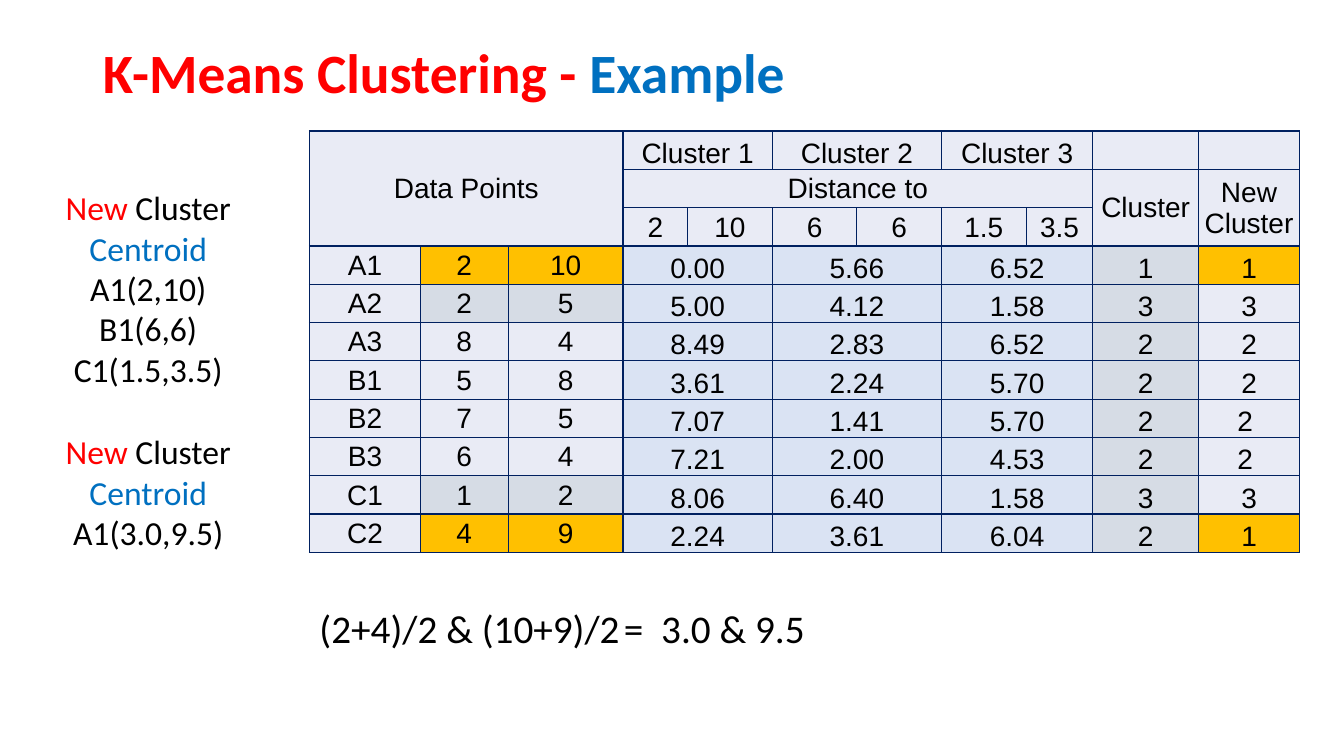
"""Builds a slide that works through one step of k-means clustering."""
import pptx
import pptx.dml.color
import pptx.enum.text
import pptx.oxml
import pptx.oxml.ns
import pptx.util

Inches = pptx.util.Inches
Pt = pptx.util.Pt
RGBColor = pptx.dml.color.RGBColor
Align = pptx.enum.text.PP_ALIGN
Anchor = pptx.enum.text.MSO_ANCHOR
Fit = pptx.enum.text.MSO_AUTO_SIZE

RED = RGBColor(0xFF, 0x00, 0x00)
BLUE = RGBColor(0x00, 0x70, 0xC0)
BLACK = RGBColor(0x00, 0x00, 0x00)
NAVY = RGBColor(0x00, 0x20, 0x60)
PALE = RGBColor(0xE9, 0xEB, 0xF5)
SKY = RGBColor(0xDA, 0xE3, 0xF3)
GREY = RGBColor(0xD6, 0xDC, 0xE5)
AMBER = RGBColor(0xFF, 0xC0, 0x00)

WIDTHS = [1.1, 0.87, 1.14, 0.64, 0.84, 0.84, 0.84, 0.84, 0.66, 1.05, 1]
ROW = 0.38
HEAD = [
    (0, 0, 3, 3, "Data Points", Anchor.MIDDLE),
    (0, 3, 1, 2, "Cluster 1", Anchor.BOTTOM),
    (0, 5, 1, 2, "Cluster 2", Anchor.BOTTOM),
    (0, 7, 1, 2, "Cluster 3", Anchor.BOTTOM),
    (0, 9, 1, 1, "", Anchor.BOTTOM),
    (0, 10, 1, 1, "", Anchor.BOTTOM),
    (1, 3, 1, 6, "Distance to", Anchor.MIDDLE),
    (1, 9, 2, 1, "Cluster", Anchor.MIDDLE),
    (1, 10, 2, 1, "New Cluster", Anchor.MIDDLE),
]
CENTRES = ["2", "10", "6", "6", "1.5", "3.5"]
POINTS = [
    ("A1", "2", "10", "0.00", "5.66", "6.52", "1", "1"),
    ("A2", "2", "5", "5.00", "4.12", "1.58", "3", "3"),
    ("A3", "8", "4", "8.49", "2.83", "6.52", "2", "2"),
    ("B1", "5", "8", "3.61", "2.24", "5.70", "2", "2"),
    ("B2", "7", "5", "7.07", "1.41", "5.70", "2", "2 "),
    ("B3", "6", "4", "7.21", "2.00", "4.53", "2", "2 "),
    ("C1", "1", "2", "8.06", "6.40", "1.58", "3", "3"),
    ("C2", "4", "9", "2.24", "3.61", "6.04", "2", "1"),
]
SLOTS = [(0, 1), (1, 1), (2, 1), (3, 2), (5, 2), (7, 2), (9, 1), (10, 1)]
LABEL = [("New", RED), (" Cluster ", BLACK), ("Centroid", BLUE)]


def assign(target, values):
    """Set each named attribute of the target."""
    for name, value in values.items():
        setattr(target, name, value)


class Deck:
    """Holds the slide and the style of its text and table."""

    def __init__(self):
        """Open a wide deck with one title-only slide."""
        self.deck = pptx.Presentation()
        assign(self.deck, {"slide_width": Inches(13.33), "slide_height": Inches(7.5)})
        self.slide = self.deck.slides.add_slide(self.deck.slide_layouts[5])

    def fill(self, frame, lines, size, align, face="Calibri", bold=False):
        """Fill a text frame with lines of coloured runs."""
        for index, line in enumerate(lines):
            para = frame.add_paragraph() if index else frame.paragraphs[0]
            para.alignment = align
            for text, color in line:
                run = para.add_run()
                run.text = text
                assign(run.font, {"size": Pt(size), "name": face, "bold": bold})
                run.font.color.rgb = color

    def title(self, box, runs):
        """Place and fill the title."""
        shape = self.slide.shapes.title
        assign(shape, dict(zip(("left", "top", "width", "height"), map(Inches, box))))
        frame = shape.text_frame
        assign(frame, {"auto_size": Fit.NONE, "vertical_anchor": Anchor.MIDDLE})
        self.fill(frame, [runs], 39.6, Align.LEFT, bold=True)
        frame.paragraphs[0].line_spacing = 0.9

    def text(self, box, lines, size, align, wrap):
        """Add a text box."""
        frame = self.slide.shapes.add_textbox(*map(Inches, box)).text_frame
        assign(frame, {"word_wrap": wrap, "auto_size": Fit.SHAPE_TO_FIT_TEXT})
        self.fill(frame, lines, size, align)

    def border(self, cell):
        """Draw a thin line on all four sides of a cell."""
        props = cell._tc.get_or_add_tcPr()
        for index, side in enumerate("LRTB"):
            line = pptx.oxml.parse_xml(
                f'<a:ln{side} {pptx.oxml.ns.nsdecls("a")} w="{Pt(1)}"><a:solidFill>'
                f'<a:srgbClr val="{NAVY}"/></a:solidFill></a:ln{side}>')
            props.insert(index, line)

    def grid(self, left, top, rows):
        """Add a bordered table without a banded style."""
        shape = self.slide.shapes.add_table(
            rows, len(WIDTHS), Inches(left), Inches(top),
            Inches(sum(WIDTHS)), Inches(rows * ROW))
        self.table = shape.table
        assign(self.table, {"first_row": False, "horz_banding": False})
        for column, width in zip(self.table.columns, WIDTHS):
            column.width = Inches(width)
        edge = Inches(0.01)
        for cell in self.table.iter_cells():
            assign(cell, {"margin_left": edge, "margin_right": edge,
                          "margin_top": edge, "margin_bottom": 0})
            cell.fill.solid()
            cell.fill.fore_color.rgb = PALE
            self.border(cell)

    def cell(self, row, col, tall, wide, text, anchor, fill=PALE):
        """Fill one table cell, merged over its span."""
        cell = self.table.cell(row, col)
        if tall * wide > 1:
            cell.merge(self.table.cell(row + tall - 1, col + wide - 1))
        cell.vertical_anchor = anchor
        cell.fill.fore_color.rgb = fill
        if text:
            self.fill(cell.text_frame, [[(text, BLACK)]], 20, Align.CENTER, "Arial")


def main():
    """Build and save the slide."""
    deck = Deck()
    deck.title((0.92, 0.4, 11.5, 0.7),
               [("K-Means Clustering - ", RED), ("Example", BLUE)])

    deck.grid(3.07, 1.3, 3 + len(POINTS))
    for item in HEAD:
        deck.cell(*item)
    for col, value in enumerate(CENTRES, 3):
        deck.cell(2, col, 1, 1, value, Anchor.MIDDLE)
    for row, point in enumerate(POINTS, 3):
        old, new = point[-2:]
        mark = AMBER if new == "1" else GREY if old == "3" else PALE
        last = AMBER if new == "1" else PALE
        fills = [PALE, mark, mark, SKY, SKY, SKY, GREY, last]
        for (col, wide), value, fill in zip(SLOTS, point, fills):
            anchor = Anchor.MIDDLE if col < 3 else Anchor.BOTTOM
            deck.cell(row, col, 1, wide, value, anchor, fill)

    for top, height, spots in ((1.81, 2.93, ["A1(2,10)", "B1(6,6)", "C1(1.5,3.5)"]),
                               (4.23, 2.12, ["A1(3.0,9.5)"])):
        lines = [LABEL] + [[(spot, BLACK)] for spot in spots]
        deck.text((0.46, top, 2.02, height), lines, 24, Align.CENTER, True)
    for left, width, sums in ((3.07, 3.22, "(2+4)/2 & (10+9)/2"),
                              (6.09, 2.02, "=  3.0 & 9.5")):
        deck.text((left, 5.95, width, 0.57), [[(sums, BLACK)]], 28, Align.LEFT, False)
    deck.deck.save("out.pptx")


if __name__ == "__main__":
    main()
